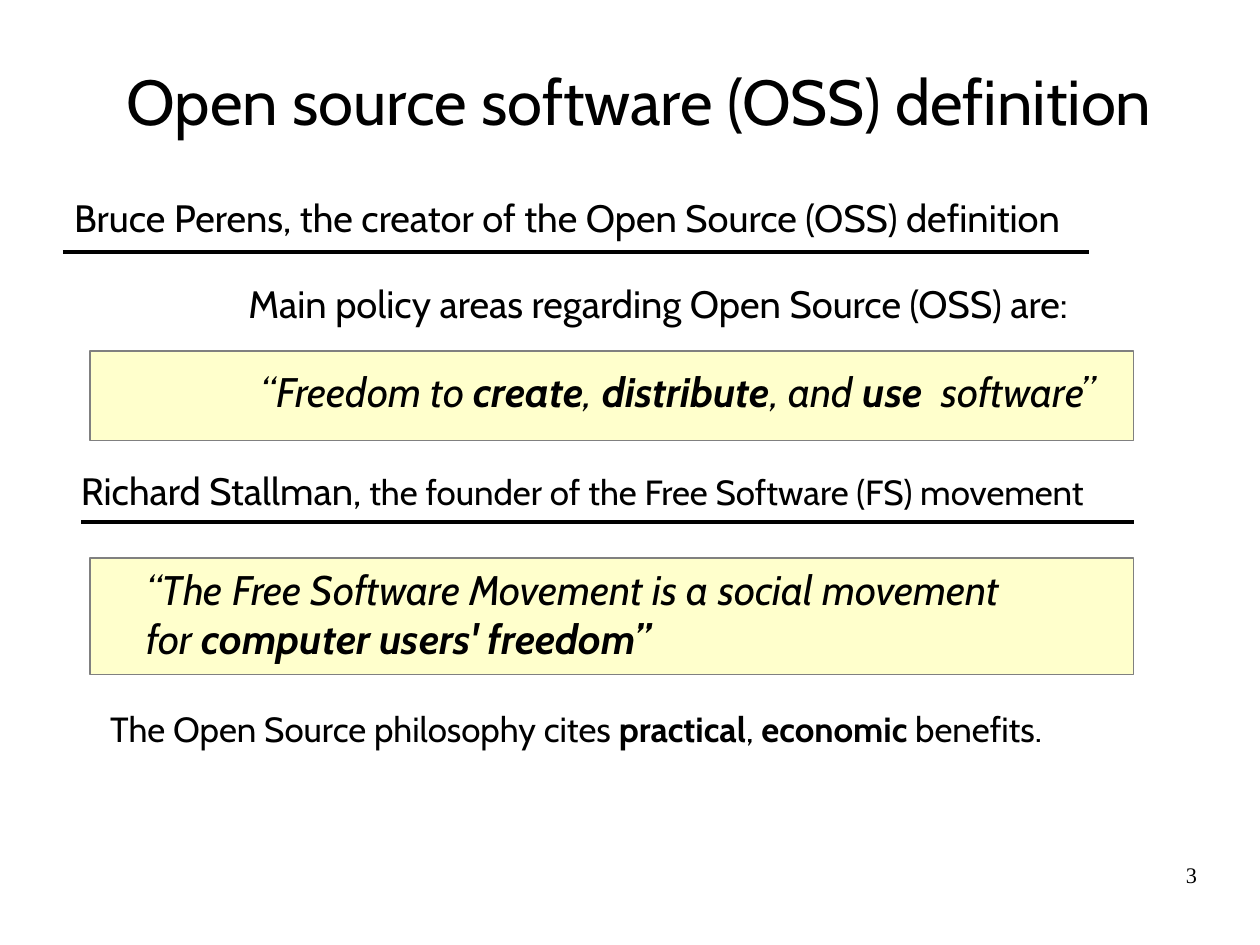
import dataclasses

import pptx
import pptx.dml.color
import pptx.enum.shapes
import pptx.enum.text
import pptx.oxml
import pptx.oxml.ns
import pptx.util

Cm = pptx.util.Cm
Pt = pptx.util.Pt
Color = pptx.dml.color.RGBColor
Align = pptx.enum.text.PP_ALIGN
Anchor = pptx.enum.text.MSO_ANCHOR


@dataclasses.dataclass(frozen=True)
class Theme:
    ink: Color = Color(0x00, 0x00, 0x00)
    panel: Color = Color(0xFF, 0xFF, 0xCC)
    edge: Color = Color(0x80, 0x80, 0x80)
    font: str = "Cabin"
    serif: str = "Times New Roman"
    title: int = 40
    quote: int = 26
    head: int = 24
    body: int = 22
    number: int = 14
    hair: int = 0


THEME = Theme()


def write(frame, text, size=THEME.head, font=THEME.font, align=Align.LEFT,
          italic=False, bold=False, mark=None, anchor=Anchor.TOP, inset=(0.25, 0.13)):
    """Fill a text frame; parts between asterisks take the formats in mark."""
    frame.word_wrap = True
    frame.auto_size = pptx.enum.text.MSO_AUTO_SIZE.NONE
    frame.vertical_anchor = anchor
    frame.margin_left = frame.margin_right = Cm(inset[0])
    frame.margin_top = frame.margin_bottom = Cm(inset[1])
    plain = {"size": size, "bold": bold}
    for row, line in enumerate(text.split("\n")):
        para = frame.add_paragraph() if row else frame.paragraphs[0]
        para.alignment = align
        for index, part in enumerate(line.split("*")):
            if not part:
                continue
            style = {**plain, **(mark or {})} if index % 2 else plain
            run = para.add_run()
            run.text = part
            run.font.name = font
            run.font.size = Pt(style["size"])
            run.font.bold = style["bold"]
            run.font.italic = italic
            run.font.color.rgb = THEME.ink


def add_text(slide, box, text, **style):
    shape = slide.shapes.add_textbox(*map(Cm, box))
    write(shape.text_frame, text, **style)


def add_title(slide, box, text):
    title = slide.shapes.title
    title.left, title.top, title.width, title.height = map(Cm, box)
    write(title.text_frame, text, size=THEME.title, align=Align.CENTER,
          anchor=Anchor.MIDDLE, inset=(0, 0))


def add_panel(slide, top, height):
    panel = slide.shapes.add_shape(
        pptx.enum.shapes.MSO_SHAPE.RECTANGLE, Cm(2), Cm(top), Cm(23.2), Cm(height))
    panel.shadow.inherit = False
    panel.fill.solid()
    panel.fill.fore_color.rgb = THEME.panel
    panel.line.color.rgb = THEME.edge
    panel.line.width = Pt(THEME.hair)


def add_rule(slide, left, right, top):
    rule = slide.shapes.add_connector(
        pptx.enum.shapes.MSO_CONNECTOR.STRAIGHT, Cm(left), Cm(top), Cm(right), Cm(top))
    rule.line.color.rgb = THEME.ink
    rule.line.width = Pt(THEME.hair)
    effects = pptx.oxml.ns.qn("a:effectLst")
    rule._element.spPr.append(rule._element.makeelement(effects))


def main():
    deck = pptx.Presentation()
    deck.slide_width, deck.slide_height = Cm(28), Cm(21)
    slide = deck.slides.add_slide(deck.slide_layouts[5])
    strong = {"bold": True}

    add_title(slide, (1.6, 0.48, 25.2, 3.5), "Open source software (OSS) definition")

    add_text(slide, (1.4, 4.2, 24.2, 1.4),
             "Bruce Perens, the creator of the Open Source (OSS) definition")
    add_rule(slide, 1.4, 24.2, 5.6)
    add_text(slide, (3.2, 6.1, 20.78, 1.4),
             "Main policy areas regarding Open Source (OSS) are:", align=Align.RIGHT)
    add_panel(slide, 7.8, 2)
    add_text(slide, (2.8, 8, 21.8, 2),
             "“Freedom to *create*, *distribute*, and *use*  software”",
             size=THEME.quote, italic=True, align=Align.RIGHT, mark=strong)

    add_text(slide, (1.55, 10.26, 24.03, 1.6),
             "Richard Stallman,* the founder of the Free Software (FS) movement*",
             mark={"size": THEME.body})
    add_rule(slide, 1.8, 25.2, 11.6)
    add_panel(slide, 12.4, 2.6)
    add_text(slide, (3, 12.4, 22.2, 2.64),
             "“The Free Software Movement is a social movement\n"
             "for *computer users' freedom”*",
             size=THEME.quote, italic=True, mark=strong)

    add_text(slide, (2.2, 15.6, 23, 2.6),
             "The Open Source philosophy cites *practical*, *economic* benefits.",
             size=THEME.body, mark=strong)
    add_text(slide, (20.07, 19.13, 6.53, 1.45), "3", size=THEME.number,
             font=THEME.serif, align=Align.RIGHT, inset=(0, 0))

    deck.save("out.pptx")


if __name__ == "__main__":
    main()
